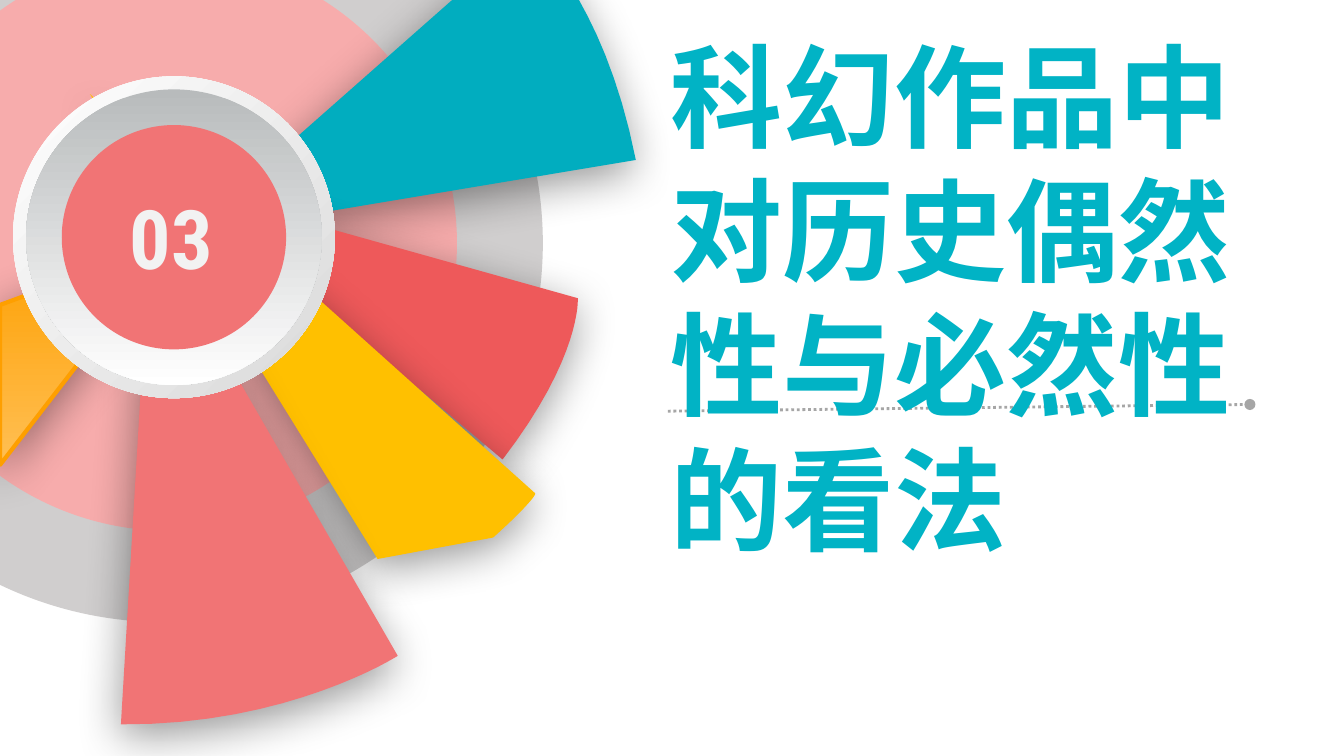
from lxml.etree import SubElement
from pptx import Presentation
from pptx.dml.color import RGBColor
from pptx.enum.dml import MSO_LINE
from pptx.enum.shapes import MSO_CONNECTOR, MSO_SHAPE
from pptx.enum.text import MSO_AUTO_SIZE, PP_ALIGN
from pptx.oxml.ns import qn
from pptx.util import Pt

TEAL = RGBColor(0x01, 0xAD, 0xBF)
TITLE_TEAL = RGBColor(0x01, 0xB3, 0xC5)
RED = RGBColor(0xEE, 0x59, 0x5A)
YELLOW = RGBColor(0xFF, 0xC0, 0x00)
CORAL = RGBColor(0xF1, 0x74, 0x75)
PINK = RGBColor(0xF7, 0xAC, 0xAC)
ORANGE = RGBColor(0xFE, 0x9F, 0x00)
LIGHT_ORANGE = RGBColor(0xFF, 0xBF, 0x53)
RING_GREY = RGBColor(0xD0, 0xCE, 0xCE)
RIM_GREY = RGBColor(0xD9, 0xD9, 0xD9)
HUB_GREY = RGBColor(0xB8, 0xBB, 0xBC)
LINE_GREY = RGBColor(0xA6, 0xA6, 0xA6)
NEAR_WHITE = RGBColor(0xF2, 0xF2, 0xF2)
WHITE = RGBColor(0xFF, 0xFF, 0xFF)

HUB_CENTER = (93.2, 127.1)


def set_format(target, values):
    for name, value in values.items():
        setattr(target, name, value)


def add_child(parent, tag, **attributes):
    return SubElement(parent, qn(tag), {key: str(value) for key, value in attributes.items()})


def paint(shape, colors, radial=False):
    """Fill with one colour, or with a gradient between two."""
    shape.shadow.inherit = False
    shape.line.fill.background()
    if len(colors) == 1:
        shape.fill.solid()
        shape.fill.fore_color.rgb = colors[0]
        return
    shape.fill.gradient()
    shape.fill.gradient_angle = 270
    for stop, color, position in zip(shape.fill.gradient_stops, colors, (0, 1)):
        stop.color.rgb = color
        stop.position = position
    if radial:
        gradient = shape.element.spPr.find(qn("a:gradFill"))
        gradient.remove(gradient.find(qn("a:lin")))
        circle = add_child(gradient, "a:path", path="circle")
        add_child(circle, "a:fillToRect", l=100000, t=100000)


def add_disc(page, center, diameter, *colors, kind=MSO_SHAPE.OVAL, radial=False):
    left, top = (Pt(middle - diameter / 2) for middle in center)
    disc = page.shapes.add_shape(kind, left, top, Pt(diameter), Pt(diameter))
    if kind == MSO_SHAPE.ROUNDED_RECTANGLE:
        disc.adjustments[0] = 0.5
    paint(disc, colors, radial)


def curve_points(controls, steps=16):
    """Points along a cubic curve with four control points."""
    points = []
    for step in range(steps + 1):
        t = step / steps
        weights = ((1 - t) ** 3, 3 * t * (1 - t) ** 2, 3 * t * t * (1 - t), t ** 3)
        points.append(tuple(sum(w * point[axis] for w, point in zip(weights, controls))
                            for axis in (0, 1)))
    return points


def add_wedge(page, points, *colors):
    corners = [(Pt(x), Pt(y)) for x, y in points]
    builder = page.shapes.build_freeform(*corners[0], scale=1.0)
    builder.add_line_segments(corners[1:], close=True)
    wedge = builder.convert_to_shape()
    paint(wedge, colors)
    # Soft shadow below the wedge
    effects = wedge.element.spPr.find(qn("a:effectLst"))
    shadow = add_child(effects, "a:outerShdw", blurRad=Pt(24), dist=Pt(6),
                       dir=100 * 60000, algn="ctr", rotWithShape=0)
    black = add_child(shadow, "a:srgbClr", val="000000")
    add_child(black, "a:alpha", val=40000)
    return wedge


def add_dotted_line(page, start, end):
    line = page.shapes.add_connector(MSO_CONNECTOR.STRAIGHT, *map(Pt, start + end))
    line.line.color.rgb = LINE_GREY
    set_format(line.line, {"width": Pt(1.5), "dash_style": MSO_LINE.ROUND_DOT})
    add_child(line.line._get_or_add_ln(), "a:tailEnd", type="oval")
    add_child(line.element.spPr, "a:effectLst")


def add_text(page, frame, text, font, color, para_format=None, margins=None):
    box = page.shapes.add_textbox(*map(Pt, frame))
    set_format(box.text_frame, {"word_wrap": True,
                                "auto_size": MSO_AUTO_SIZE.SHAPE_TO_FIT_TEXT,
                                **(margins or {})})
    para = box.text_frame.paragraphs[0]
    set_format(para, para_format or {})
    span = para.add_run()
    span.text = text
    set_format(span.font, {"bold": True, **font})
    span.font.color.rgb = color
    add_child(span.font._element, "a:ea", typeface=font["name"])


def main():
    deck = Presentation()
    set_format(deck, {"slide_width": Pt(720), "slide_height": Pt(405)})
    page = deck.slides.add_slide(deck.slide_layouts[6])

    # Background rings
    add_disc(page, (87.8, 130.3), 406, RING_GREY)
    add_disc(page, (90.7, 130.3), 308.2, PINK)

    # Wedges: tip, curved outer edge, further corners
    wedges = [
        ((99.4, 126), [(283, -36), (283, -36), (323.3, -2.2), (340.6, 85.7)], [], TEAL),
        ((96.5, 100.1), [(309.6, 159.8), (309.6, 159.8), (311.8, 190.8), (269.3, 246.2)],
         [], RED),
        ((48.2, 50.4), [(286.6, 264.2), (288, 265), (277.9, 275.8), (264.2, 288)],
         [(202.3, 299.5)], YELLOW),
        ((80.6, 121.7), [(213.1, 351.4), (213.1, 351.4), (154.8, 388.8), (64.8, 388.1)],
         [], CORAL),
    ]
    for tip, edge, corners, color in wedges:
        add_wedge(page, [tip, *curve_points(edge), *corners], color)
    orange = add_wedge(page, [(92.2, 129.6), (0, 249.1), (0, 163.4)], ORANGE, LIGHT_ORANGE)
    orange.line.color.rgb = ORANGE
    orange.line.width = Pt(2.25)

    # Hub with the section number
    add_disc(page, HUB_CENTER, 172.4, RIM_GREY, WHITE, radial=True)
    add_disc(page, HUB_CENTER, 158.4, HUB_GREY, WHITE, kind=MSO_SHAPE.ROUNDED_RECTANGLE)
    add_disc(page, HUB_CENTER, 120.2, CORAL)
    add_text(page, (60.5, 107.3, 62.6, 49.7), "03",
             {"name": "Roboto Condensed", "size": Pt(44)}, NEAR_WHITE,
             {"alignment": PP_ALIGN.CENTER, "line_spacing": 0.8})

    # Title over the dotted line
    add_dotted_line(page, (357.8, 220.3), (669.6, 216.7))
    add_text(page, (354.2, 11.5, 331.2, 295.9), "科幻作品中对历史偶然性与必然性的看法",
             {"name": "Noto Sans CJK SC", "size": Pt(60)}, TITLE_TEAL,
             margins={"margin_left": Pt(5), "margin_right": Pt(5),
                      "margin_top": Pt(3), "margin_bottom": Pt(3)})

    deck.save("out.pptx")


if __name__ == "__main__":
    main()
